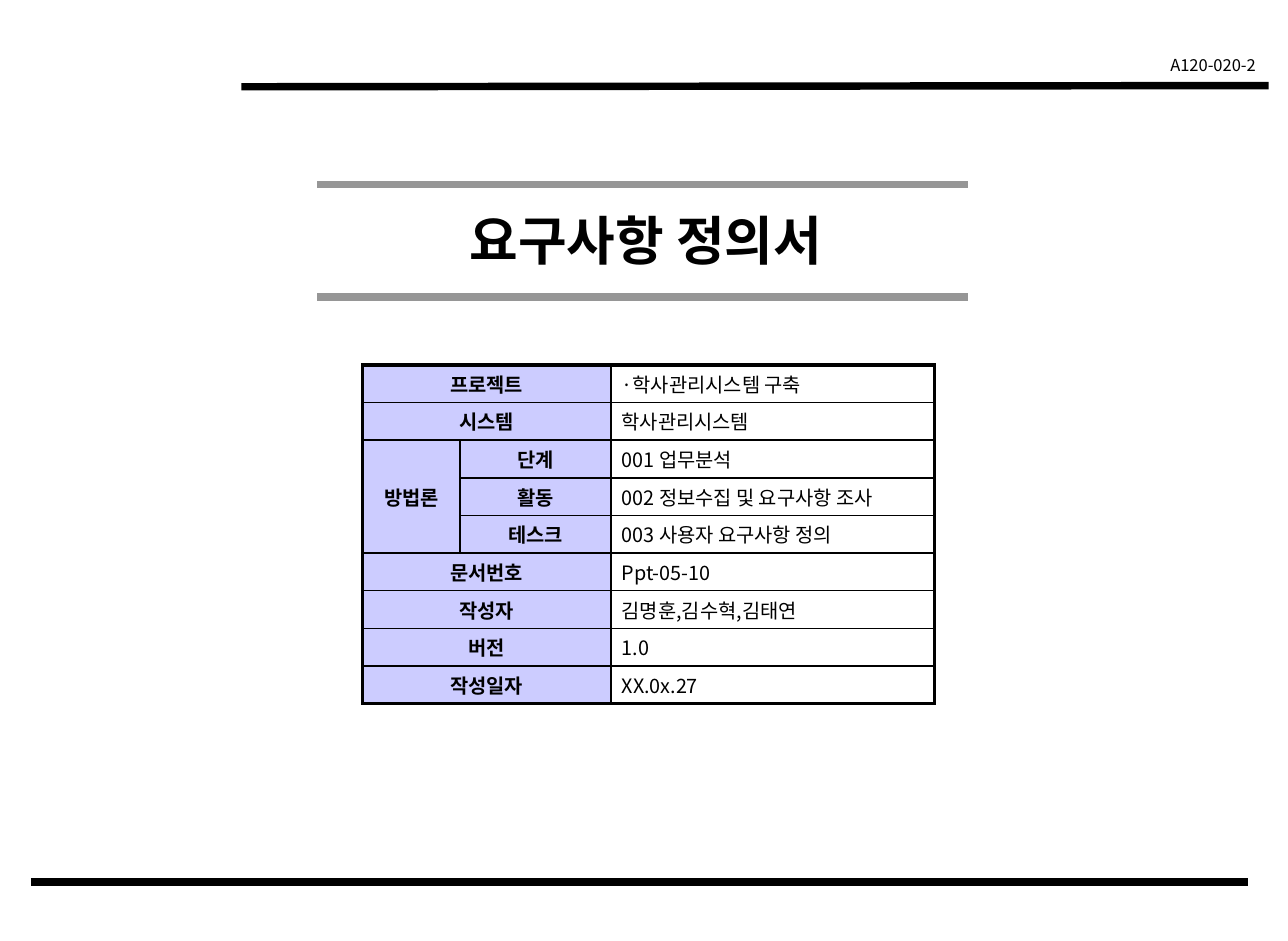
import pptx
import pptx.util
import pptx.dml.color
import pptx.enum.shapes
import pptx.enum.text
import pptx.oxml.ns
from dataclasses import dataclass
from lxml import etree

Inches = pptx.util.Inches
Pt = pptx.util.Pt
Align = pptx.enum.text.PP_ALIGN
qn = pptx.oxml.ns.qn


@dataclass(frozen=True)
class Theme:
    """Colours, type sizes and line widths."""
    font: str = "Noto Sans CJK KR"
    ink: str = "000000"
    grey: str = "969696"
    label: str = "CCCCFF"
    code: int = 10
    body: int = 12
    title: int = 32
    rule: float = 4.5
    frame: float = 2.25
    grid: float = 1


THEME = Theme()
COLS = (0.82, 1.27, 2.72)
ROWS = (
    ("프로젝트", "", "·학사관리시스템 구축"),
    ("시스템", "", "학사관리시스템"),
    ("방법론", "단계", "001 업무분석"),
    ("", "활동", "002 정보수집 및 요구사항 조사"),
    ("", "테스크", "003 사용자 요구사항 정의"),
    ("문서번호", "", "Ppt-05-10"),
    ("작성자", "", "김명훈,김수혁,김태연"),
    ("버전", "", "1.0"),
    ("작성일자", "", "XX.0x.27"),
)


def color(code):
    """Turn a hex code into a colour."""
    return pptx.dml.color.RGBColor.from_string(code)


def write(frame, text, size, align, bold=False):
    """Put one styled paragraph into a text frame."""
    para = frame.paragraphs[0]
    para.text = text
    para.alignment = align
    font = para.font
    font.size = Pt(size)
    font.bold = bold
    font.color.rgb = color(THEME.ink)
    font.name = THEME.font
    props = para._p.get_or_add_pPr().find(qn("a:defRPr"))
    etree.SubElement(props, qn("a:ea"), typeface=THEME.font)


def label(slide, box, text, size, align, bold=False, wrap=True):
    """Add a text box."""
    frame = slide.shapes.add_textbox(*map(Inches, box)).text_frame
    frame.word_wrap = wrap
    frame.auto_size = pptx.enum.text.MSO_AUTO_SIZE.SHAPE_TO_FIT_TEXT
    frame.margin_top = frame.margin_bottom = Inches(0.04)
    write(frame, text, size, align, bold)


def rule(slide, start, end, code):
    """Add a thick straight line."""
    kind = pptx.enum.shapes.MSO_CONNECTOR.STRAIGHT
    line = slide.shapes.add_connector(kind, *map(Inches, start + end))
    line.line.color.rgb = color(code)
    line.line.width = Pt(THEME.rule)
    etree.SubElement(line._element.spPr, qn("a:effectLst"))


def border(cell, edges):
    """Draw the borders of a cell, heavy where the edge is outer."""
    props = cell._tc.get_or_add_tcPr()
    for side, outer in edges.items():
        width = Pt(THEME.frame if outer else THEME.grid)
        line = etree.SubElement(props, qn("a:ln" + side), w=str(int(width)))
        fill = etree.SubElement(line, qn("a:solidFill"))
        etree.SubElement(fill, qn("a:srgbClr"), val=THEME.ink)


def paint(cell, text, head):
    """Fill a cell and write its text."""
    cell.margin_left = cell.margin_right = Inches(0.09)
    cell.margin_top = cell.margin_bottom = Inches(0.03)
    cell.vertical_anchor = pptx.enum.text.MSO_ANCHOR.MIDDLE
    if head:
        cell.fill.solid()
        cell.fill.fore_color.rgb = color(THEME.label)
    else:
        cell.fill.background()
    align = Align.CENTER if head else Align.LEFT
    write(cell.text_frame, text, THEME.body, align, head)


def table(slide):
    """Add the table of document facts."""
    last, end = len(ROWS) - 1, len(COLS) - 1
    box = map(Inches, (3.05, 3.07, sum(COLS), 2.85))
    grid = slide.shapes.add_table(len(ROWS), len(COLS), *box).table
    grid.first_row = grid.horz_banding = False
    for col, width in zip(grid.columns, COLS):
        col.width = Inches(width)
    for r, row in enumerate(ROWS):
        for c, text in enumerate(row):
            cell = grid.cell(r, c)
            border(cell, {"L": c == 0, "R": c == end,
                          "T": r == 0, "B": r == last})
            if text:
                paint(cell, text, c < end)
        if not row[1]:
            grid.cell(r, 0).merge(grid.cell(r, 1))
    grid.cell(2, 0).merge(grid.cell(4, 0))


def main():
    """Build the cover slide and save it."""
    deck = pptx.Presentation()
    deck.slide_width = Inches(65 / 6)
    deck.slide_height = Inches(95 / 12)
    slide = deck.slides.add_slide(deck.slide_layouts[6])
    rule(slide, (2.03, 0.73), (10.67, 0.72), THEME.ink)
    label(slide, (9.58, 0.42, 1.08, 0.27), "A120-020-2", THEME.code,
          Align.RIGHT)
    rule(slide, (0.26, 7.42), (10.5, 7.42), THEME.ink)
    label(slide, (3.75, 1.71, 3.37, 0.62), "요구사항 정의서", THEME.title,
          Align.CENTER, bold=True, wrap=False)
    for y in (1.55, 2.5):
        rule(slide, (2.67, y), (8.14, y), THEME.grey)
    table(slide)
    deck.save("out.pptx")


if __name__ == "__main__":
    main()
